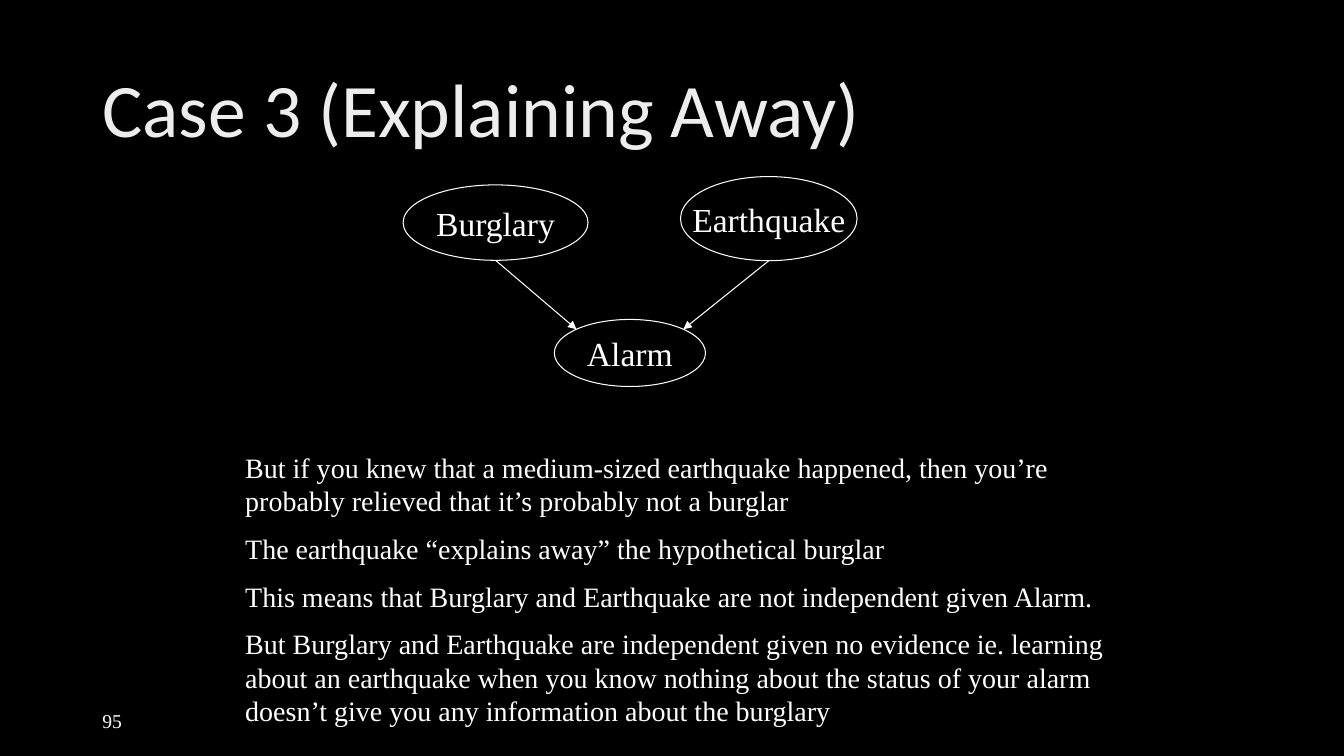
from math import sqrt

from lxml.etree import SubElement
from pptx import Presentation
from pptx.dml.color import RGBColor
from pptx.enum.shapes import MSO_CONNECTOR as Connector, MSO_SHAPE as Shape
from pptx.enum.text import MSO_ANCHOR as Anchor, PP_ALIGN as Align
from pptx.oxml.ns import qn
from pptx.util import Cm, Pt

BLACK = RGBColor(0x00, 0x00, 0x00)
WHITE = RGBColor(0xFF, 0xFF, 0xFF)
TITLE_GREY = RGBColor(0xED, 0xED, 0xED)
SERIF = "Times New Roman"
LINE_WIDTH = Pt(0.75)

EXPLANATION = [
    "But if you knew that a medium-sized earthquake happened, then you’re "
    "probably relieved that it’s probably not a burglar",
    "The earthquake “explains away” the hypothetical burglar",
    "This means that Burglary and Earthquake are not independent given Alarm.",
    "But Burglary and Earthquake are independent given no evidence ie. learning "
    "about an earthquake when you know nothing about the status of your alarm "
    "doesn’t give you any information about the burglary",
]


def write(box, *texts, size, font=SERIF, color=WHITE, align=Align.LEFT,
          anchor=Anchor.TOP, wrap=True, gap=0, line_spacing=None):
    frame = box.text_frame
    frame.word_wrap = wrap
    frame.vertical_anchor = anchor
    for index, text in enumerate(texts):
        para = frame.paragraphs[0] if index == 0 else frame.add_paragraph()
        para.alignment = align
        para.line_spacing = line_spacing
        if index:
            para.space_before = Pt(gap)
        span = para.add_run()
        span.text = text
        span.font.size = Pt(size)
        span.font.name = font
        span.font.color.rgb = color


def add_text(page, left, top, width, height, *texts, **style):
    box = page.shapes.add_textbox(Cm(left), Cm(top), Cm(width), Cm(height))
    write(box, *texts, **style)


def add_node(page, name, left, top, width, height):
    node = page.shapes.add_shape(Shape.OVAL, Cm(left), Cm(top), Cm(width), Cm(height))
    node.shadow.inherit = False
    node.fill.background()
    node.line.color.rgb = WHITE
    node.line.width = LINE_WIDTH
    write(node, name, size=24, align=Align.CENTER, anchor=Anchor.MIDDLE, wrap=False)
    return node


def add_arrow(page, cause, effect):
    start_x = cause.left + cause.width // 2
    center_x = effect.left + effect.width // 2
    side = -1 if start_x < center_x else 1
    end_x = center_x + side * int(effect.width / 2 / sqrt(2))
    end_y = effect.top + int(effect.height / 2 * (1 - 1 / sqrt(2)))
    arrow = page.shapes.add_connector(
        Connector.STRAIGHT, start_x, cause.top + cause.height, end_x, end_y)
    arrow.line.color.rgb = WHITE
    arrow.line.width = LINE_WIDTH
    SubElement(arrow.line._get_or_add_ln(), qn("a:tailEnd"), type="triangle")
    SubElement(arrow._element.spPr, qn("a:effectLst"))


def main():
    deck = Presentation()
    deck.slide_width, deck.slide_height = Cm(33.87), Cm(19.05)
    page = deck.slides.add_slide(deck.slide_layouts[6])
    page.background.fill.solid()
    page.background.fill.fore_color.rgb = BLACK

    add_text(page, 2.33, 17.66, 7.62, 1.01, "95", size=14, anchor=Anchor.MIDDLE)
    add_text(page, 2.33, 1.01, 29.21, 3.68, "Case 3 (Explaining Away)", size=54,
             font="Calibri", color=TITLE_GREY, anchor=Anchor.MIDDLE, line_spacing=0.9)

    burglary = add_node(page, "Burglary", 10.16, 4.66, 4.66, 1.9)
    alarm = add_node(page, "Alarm", 13.97, 8.05, 3.81, 1.69)
    earthquake = add_node(page, "Earthquake", 17.15, 4.45, 4.45, 2.12)
    for cause in (burglary, earthquake):
        add_arrow(page, cause, alarm)

    add_text(page, 5.93, 11.22, 22.23, 7.45, *EXPLANATION, size=20, gap=10)
    deck.save("out.pptx")


if __name__ == "__main__":
    main()
